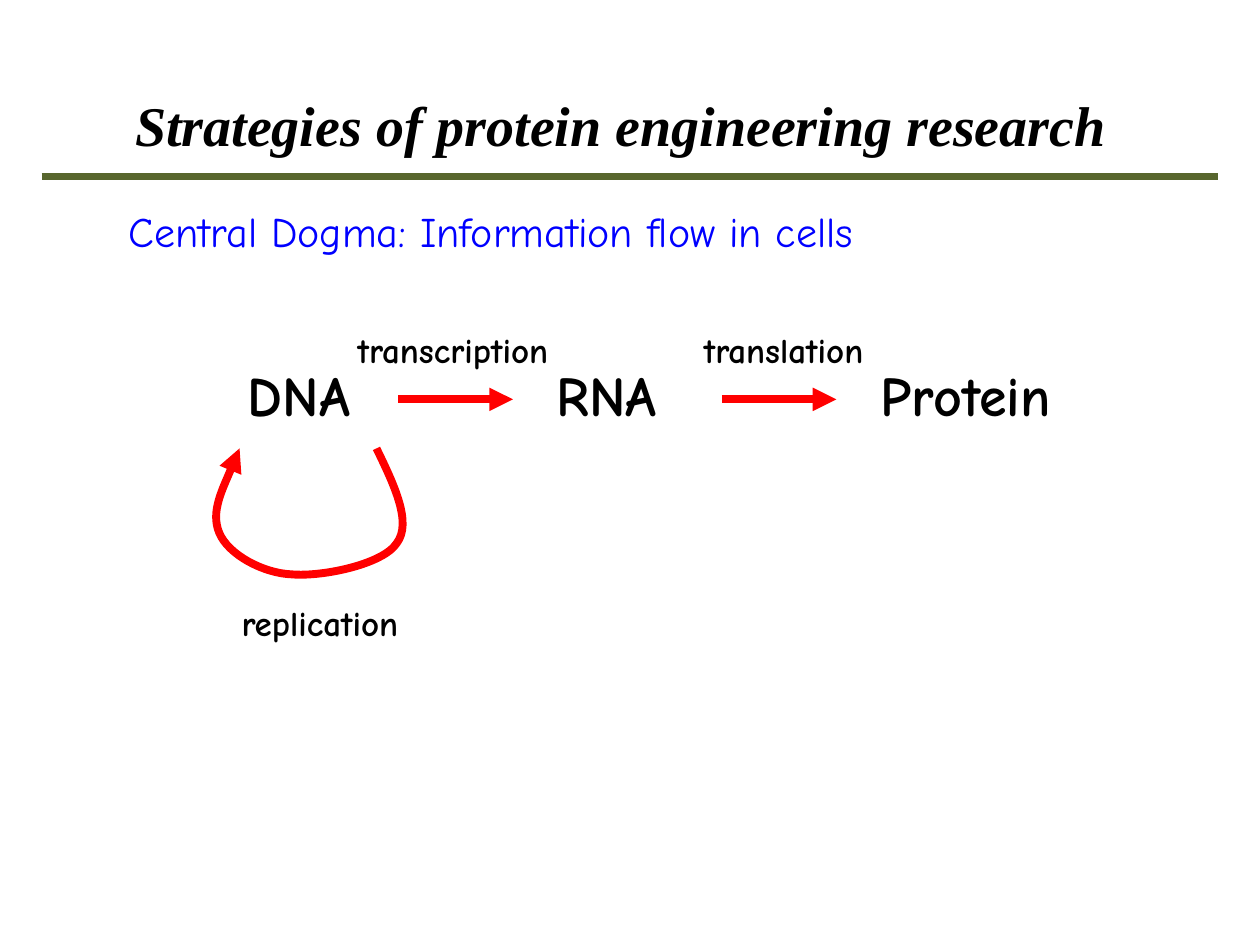
import pptx
import pptx.dml.color
import pptx.enum.shapes
import pptx.enum.text
import pptx.oxml.ns
import pptx.util
from lxml import etree
from pptx.util import Cm

RED = "FF0000"
BLACK = "000000"
BODY_FONT = "Comic Neue"


def color(hex_value):
    return pptx.dml.color.RGBColor.from_string(hex_value)


def add_element(parent, tag, **attributes):
    return etree.SubElement(parent, pptx.oxml.ns.qn(tag), **attributes)


def write_text(box, text, size, font=BODY_FONT, hex_value=BLACK,
               bold=True, italic=False, wrap=False):
    frame = box.text_frame
    frame.word_wrap = wrap
    frame.auto_size = pptx.enum.text.MSO_AUTO_SIZE.NONE
    frame.vertical_anchor = pptx.enum.text.MSO_ANCHOR.TOP
    para = frame.paragraphs[0]
    para.alignment = pptx.enum.text.PP_ALIGN.LEFT
    span = para.add_run()
    span.text = text
    span.font.name = font
    span.font.size = pptx.util.Pt(size)
    span.font.bold = bold
    span.font.italic = italic
    span.font.color.rgb = color(hex_value)
    return para


def add_label(page, text, left, top, width, height, size, **style):
    box = page.shapes.add_textbox(Cm(left), Cm(top), Cm(width), Cm(height))
    write_text(box, text, size, **style)


def style_line(shape, hex_value, weight, arrow=False):
    shape.line.color.rgb = color(hex_value)
    shape.line.width = pptx.util.Pt(weight)
    if arrow:
        add_element(shape.line._get_or_add_ln(), "a:tailEnd", type="triangle")


def add_level_line(page, start, end, height, hex_value, weight, arrow=False):
    line = page.shapes.add_connector(
        pptx.enum.shapes.MSO_CONNECTOR.STRAIGHT,
        Cm(start), Cm(height), Cm(end), Cm(height))
    style_line(line, hex_value, weight, arrow)
    add_element(line._element.spPr, "a:effectLst")


def add_curved_arrow(page, points, hex_value, weight):
    """The first point starts the curve; each further three are one Bezier."""
    start, *others = [(Cm(x), Cm(y)) for x, y in points]
    builder = page.shapes.build_freeform(*start)
    builder.add_line_segments(others, close=False)
    curve = builder.convert_to_shape()
    curve.shadow.inherit = False
    curve.fill.background()
    style_line(curve, hex_value, weight, arrow=True)

    # Join the straight segments by threes into Bezier segments
    outline = next(curve._element.iter(pptx.oxml.ns.qn("a:path")))
    segments = outline.findall(pptx.oxml.ns.qn("a:lnTo"))
    for first in range(0, len(segments), 3):
        bezier = add_element(outline, "a:cubicBezTo")
        for segment in segments[first:first + 3]:
            bezier.append(segment[0])
            outline.remove(segment)


def add_title(page):
    title = page.shapes.title
    title.left, title.top = Cm(2.34), Cm(1.7)
    title.width, title.height = Cm(20.75), Cm(1.63)
    para = write_text(title, "Strategies of protein engineering research", 32,
                      font="Times New Roman", italic=True, wrap=True)
    properties = para._p.get_or_add_pPr()
    properties.set("marL", str(Cm(0.15)))
    properties.set("indent", str(Cm(-0.02)))


def main():
    deck = pptx.Presentation()
    deck.slide_width, deck.slide_height = Cm(25.4), Cm(19.05)
    page = deck.slides.add_slide(deck.slide_layouts[5])

    # Heading
    add_title(page)
    add_level_line(page, 0.84, 24.56, 3.56, "58662E", 4)
    add_label(page, "Central Dogma: Information flow in cells",
              2.34, 4.01, 19.05, 1.27, 24,
              hex_value="0000FF", bold=False, wrap=True)

    # Molecules
    for text, left, width in (("DNA", 4.75, 3.1), ("RNA", 10.97, 3),
                              ("Protein", 17.5, 4.37)):
        add_label(page, text, left, 7.14, width, 1.63, 32)

    # Steps between the molecules
    for start in (8.03, 14.55):
        add_level_line(page, start, start + 2.31, 8.05, RED, 4.5, arrow=True)
    for text, left, top, width in (("transcription", 6.96, 6.5, 4.88),
                                   ("translation", 13.94, 6.5, 4.19),
                                   ("replication", 4.62, 12.01, 4.06)):
        add_label(page, text, left, top, width, 1.12, 20)

    # Replication loop from DNA back to DNA
    add_curved_arrow(page, [
        (7.59, 9.04),
        (7.95, 9.78), (8.31, 10.54), (8, 10.95),
        (7.72, 11.38), (6.5, 11.63), (5.89, 11.58),
        (5.31, 11.56), (4.6, 11.18), (4.42, 10.74),
        (4.24, 10.31), (4.72, 9.32), (4.83, 9.04)], RED, 4.5)

    deck.save("out.pptx")


if __name__ == "__main__":
    main()
